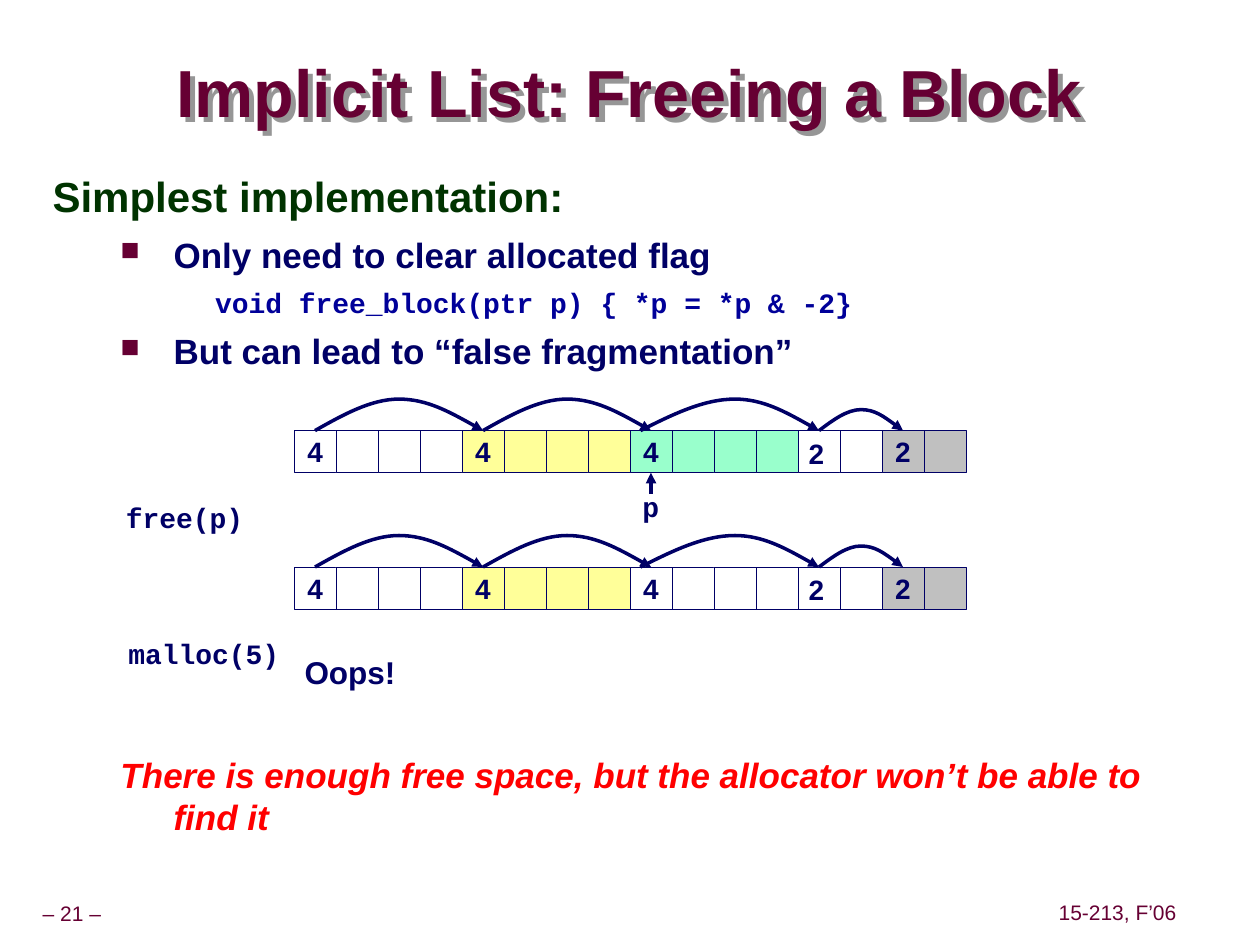
"""Build the slide on freeing a block in an implicit list allocator."""
from lxml.etree import SubElement
from pptx import Presentation
from pptx.dml.color import RGBColor
from pptx.enum.shapes import MSO_CONNECTOR, MSO_SHAPE
from pptx.enum.text import MSO_ANCHOR, PP_ALIGN
from pptx.oxml.ns import qn
from pptx.util import Cm, Pt

COLORS = {
    "title": "660033", "head": "003300", "navy": "000066", "code": "000099",
    "alert": "FF0000", "white": "FFFFFF", "yellow": "FFFF99",
    "green": "99FFCC", "gray": "C0C0C0", "shadow": "969696",
}
SANS, MONO = "Arial", "Courier New"
CELL = 2.54 / 3
LEFT = 7 * CELL

TITLE = "Implicit List: Freeing a Block"
BULLET = dict(color="navy", size=20, bullet="■", left=2.44, hang=1.07, before=6.2)
BODY = [
    ("Simplest implementation:", dict(color="head", size=24, spacing=0.95)),
    ("Only need to clear allocated flag", BULLET),
    ("void free_block(ptr p) { *p = *p & -2}",
     dict(color="code", size=16, name=MONO, left=3.28, before=4.4, spacing=1.07)),
    ("But can lead to “false fragmentation”", BULLET),
]
WARNING = ("There is enough free space, but the allocator won’t be able to find it",
           dict(color="alert", size=20, italic=True, left=2.44, hang=1.07))
FOOTERS = [("– 21 –", 0, 18.08, 2.9), ("15-213, F’06", 21.21, 18.06, 2.64)]

ROWS = [
    (8.68, ["white", "yellow", "green", "white", "gray"]),
    (11.43, ["white", "yellow", "white", "white", "gray"]),
]
BLOCKS = [(4, "4"), (4, "4"), (4, "4"), (2, ""), (2, "2")]
ARCS = [(0.5, 2.5, 4.5, 0.75), (4.5, 6.5, 8.5, 0.75),
        (8.25, 10.5, 12.5, 0.75), (12.5, 13.5, 14.5, 0.5)]
LABELS = [
    ("2", 16.05, 8.67, 0.81, SANS, 16), ("2", 16.05, 11.41, 0.81, SANS, 16),
    ("p", 12.7, 9.74, 0.84, MONO, 16), ("free(p)", 2.29, 9.97, 3, MONO, 16),
    ("malloc(5)", 2.34, 12.7, 3.7, MONO, 16), ("Oops!", 5.89, 13.04, 2.4, SANS, 18),
]


def rgb(key):
    return RGBColor.from_string(COLORS[key])


def write(p, text, color, size, name=SANS, bold=True, italic=False, bullet=None,
          left=0, hang=0, before=0, spacing=1.0, align=PP_ALIGN.LEFT):
    pPr = p._p.get_or_add_pPr()
    pPr.set("marL", str(Cm(left)))
    pPr.set("indent", str(-Cm(hang)))
    if bullet:
        clr = SubElement(pPr, qn("a:buClr"))
        SubElement(clr, qn("a:srgbClr"), val=COLORS["title"])
        SubElement(pPr, qn("a:buSzPct"), val="75000")
        SubElement(pPr, qn("a:buChar"), char=bullet)
    formats = dict(alignment=align, line_spacing=spacing, space_before=Pt(before))
    for key, value in formats.items():
        setattr(p, key, value)
    r = p.add_run()
    r.text = text
    for key, value in dict(name=name, size=Pt(size), bold=bold, italic=italic).items():
        setattr(r.font, key, value)
    r.font.color.rgb = rgb(color)


def set_frame(tf, wrap=True, anchor=MSO_ANCHOR.TOP, x=0.25, y=0.13):
    formats = dict(word_wrap=wrap, vertical_anchor=anchor, margin_left=Cm(x),
                   margin_right=Cm(x), margin_top=Cm(y), margin_bottom=Cm(y))
    for key, value in formats.items():
        setattr(tf, key, value)


def add_text(s, box, paragraphs, **frame):
    sp = s.shapes.add_textbox(*map(Cm, box))
    tf = sp.text_frame
    set_frame(tf, **frame)
    for i, (text, style) in enumerate(paragraphs):
        write(tf.add_paragraph() if i else tf.paragraphs[0], text, **style)
    return sp


def add_title_shadow(sp):
    effects = SubElement(sp._element.spPr, qn("a:effectLst"))
    shadow = SubElement(effects, qn("a:outerShdw"), dist=str(Cm(0.15)),
                        dir="2700000", algn="ctr", rotWithShape="0")
    SubElement(shadow, qn("a:srgbClr"), val=COLORS["shadow"])


def add_cell(s, index, top, fill, text):
    sp = s.shapes.add_shape(MSO_SHAPE.RECTANGLE, Cm(LEFT + index * CELL), Cm(top),
                            Cm(CELL), Cm(CELL))
    sp.shadow.inherit = False
    sp.fill.solid()
    sp.fill.fore_color.rgb = rgb(fill)
    sp.line.color.rgb = rgb("navy")
    sp.line.width = Pt(0.25)
    if text:
        set_frame(sp.text_frame, wrap=False, anchor=MSO_ANCHOR.MIDDLE)
        write(sp.text_frame.paragraphs[0], text, "navy", 16, align=PP_ALIGN.CENTER)


def style_arrow(sp):
    sp.line.color.rgb = rgb("navy")
    sp.line.width = Pt(2)
    SubElement(sp.line._get_or_add_ln(), qn("a:tailEnd"), type="triangle")


def add_arc(s, top, start, peak, end, height):
    xs = [start + (peak - start) * i / 3 for i in range(4)]
    xs += [peak + (end - peak) * i / 3 for i in range(1, 4)]
    rises = [0, 0.5, 1, 1, 1, 0.5, 0]
    points = [(Cm(LEFT + x * CELL), Cm(top - rise * height * CELL))
              for x, rise in zip(xs, rises)]
    builder = s.shapes.build_freeform(*points[0])
    builder.add_line_segments(points[1:], close=False)
    sp = builder.convert_to_shape()
    outline = sp._element.spPr.find(".//" + qn("a:path"))
    segments = outline.findall(qn("a:lnTo"))
    for i in (0, 3):
        curve = SubElement(outline, qn("a:cubicBezTo"))
        for segment in segments[i:i + 3]:
            curve.append(segment[0])
            outline.remove(segment)
    sp.shadow.inherit = False
    sp.fill.background()
    style_arrow(sp)


def add_pointer(s, x, start, end):
    sp = s.shapes.add_connector(MSO_CONNECTOR.STRAIGHT, Cm(x), Cm(start), Cm(x), Cm(end))
    style_arrow(sp)
    SubElement(sp._element.spPr, qn("a:effectLst"))


def main():
    prs = Presentation()
    prs.slide_width, prs.slide_height = Cm(25.4), Cm(19.05)
    s = prs.slides.add_slide(prs.slide_layouts[6])
    for text, x, y, width in FOOTERS:
        style = dict(color="title", size=12, bold=False, spacing=0.9, align=PP_ALIGN.CENTER)
        add_text(s, (x, y, width, 0.71), [(text, style)], wrap=False,
                 anchor=MSO_ANCHOR.MIDDLE, x=0.13)
    style = dict(color="title", size=38, spacing=0.87, align=PP_ALIGN.CENTER)
    title = add_text(s, (2.69, 1.15, 19.99, 1.6), [(TITLE, style)],
                     anchor=MSO_ANCHOR.MIDDLE, x=0, y=0)
    add_title_shadow(title)
    add_text(s, (0.81, 3.39, 23.09, 4.5), BODY)
    add_text(s, (0.81, 15.06, 23.09, 2), [WARNING])
    for top, fills in ROWS:
        index = 0
        for (size, text), fill in zip(BLOCKS, fills):
            for i in range(size):
                add_cell(s, index + i, top, fill, "" if i else text)
            index += size
        for arc in ARCS:
            add_arc(s, top, *arc)
    for text, x, y, width, name, size in LABELS:
        style = dict(color="navy", size=size, name=name)
        add_text(s, (x, y, width, 0.94), [(text, style)], wrap=False)
    add_pointer(s, LEFT + 8.5 * CELL, 9.95, 9.53)
    prs.save("out.pptx")


if __name__ == "__main__":
    main()
